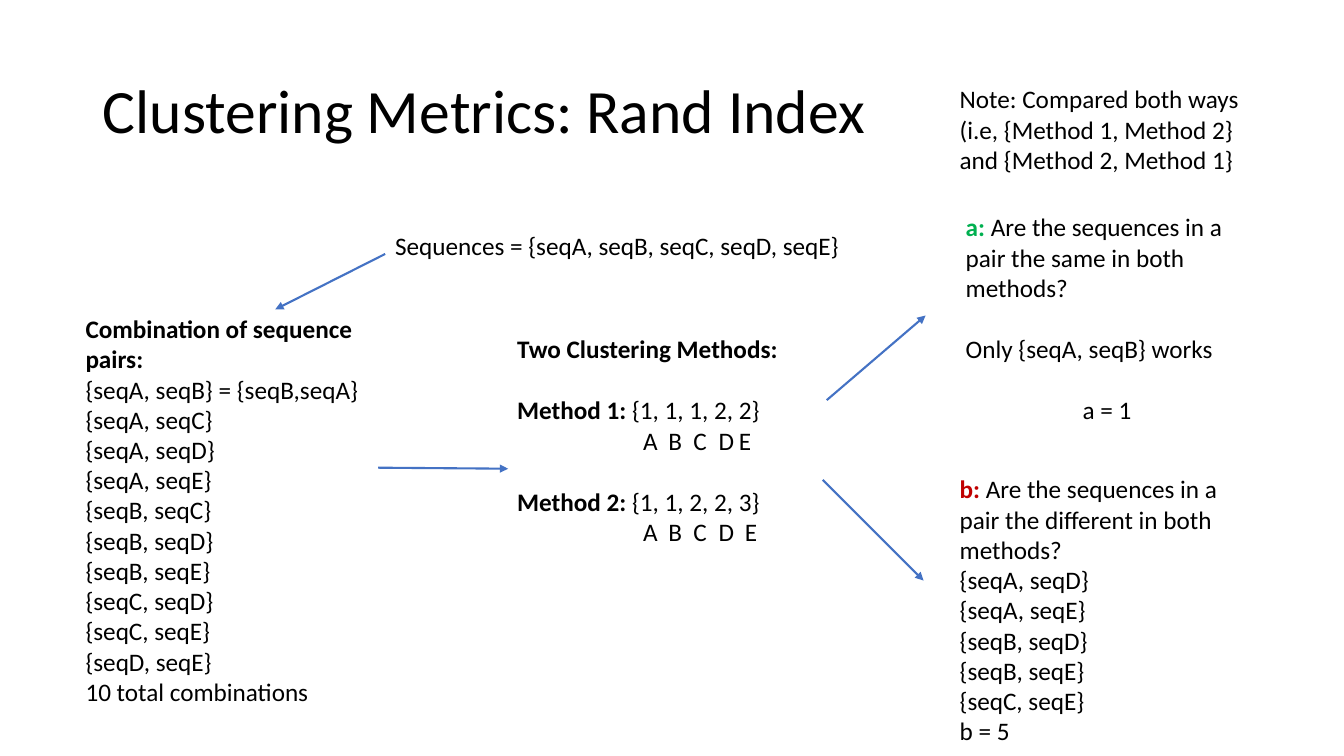
from dataclasses import dataclass

from lxml import etree
from pptx import Presentation
from pptx.dml.color import RGBColor
from pptx.enum.shapes import MSO_CONNECTOR
from pptx.enum.text import MSO_ANCHOR, MSO_AUTO_SIZE, PP_ALIGN
from pptx.oxml.ns import qn
from pptx.util import Inches, Pt

STRAIGHT = MSO_CONNECTOR.STRAIGHT
LEFT, CENTER = PP_ALIGN.LEFT, PP_ALIGN.CENTER


@dataclass(frozen=True)
class Theme:
    font: str = "Calibri"
    text: str = "000000"
    same: str = "00B050"
    different: str = "C00000"
    arrow: str = "4472C4"
    title_size: int = 44
    body_size: int = 18
    line_gap: int = 22
    arrow_width: float = 1.5


THEME = Theme()


# Content: a line is a list of (text, bold, colour) spans
def plain(text):
    return [(text, False, THEME.text)]


def strong(text, color=THEME.text):
    return [(text, True, color)]


TITLE = "Clustering Metrics: Rand Index"
TITLE_AREA = (0.92, 0.4, 11.5, 1.45)

PAIRS = ["{seqA, seqB} = {seqB,seqA}", "{seqA, seqC}", "{seqA, seqD}", "{seqA, seqE}",
         "{seqB, seqC}", "{seqB, seqD}", "{seqB, seqE}", "{seqC, seqD}",
         "{seqC, seqE}", "{seqD, seqE}"]
DIFFERENT_PAIRS = ["{seqA, seqD}", "{seqA, seqE}", "{seqB, seqD}",
                   "{seqB, seqE}", "{seqC, seqE}"]
NOTE = ["Note: Compared both ways", "(i.e, {Method 1, Method 2}", "and {Method 2, Method 1}"]
LABELS = "\tA\tB\tC\tD\tE"

# Each block: area, lines, indexes of lines set apart by one line,
# indexes of centred lines, tab stops by line index
BLOCKS = [
    ((3.82, 2.24, 5.22, 0.4),
     [plain("Sequences = {seqA, seqB, seqC, seqD, seqE}")], (), (), {}),
    ((0.75, 3.06, 3, 4.04),
     [strong("Combination of sequence pairs:"), *map(plain, PAIRS),
      plain("10 total combinations")], (), (), {}),
    ((5.03, 3.26, 3.76, 2.22),
     [strong("Two Clustering Methods:"),
      strong("Method 1: ") + plain("{1, 1, 1, 2, 2}"), plain(LABELS),
      strong("Method 2: ") + plain("{1, 1, 2, 2, 3}"), plain(LABELS)],
     (1, 3), (), {2: (1.25, 1.5, 1.75, 2, 2.2), 4: (1.25, 1.5, 1.75, 2, 2.26)}),
    ((9.48, 2.05, 3, 2.22),
     [strong("a:", THEME.same)
      + plain(" Are the sequences in a pair the same in both methods?"),
      plain("Only {seqA, seqB} works"), plain("a = 1")], (1, 2), (2,), {}),
    ((9.42, 4.65, 3, 2.83),
     [strong("b:", THEME.different)
      + plain(" Are the sequences in a pair the different in both methods?"),
      *map(plain, DIFFERENT_PAIRS), plain("b = 5")], (), (), {}),
    ((9.42, 0.78, 3, 1.01), [plain(line) for line in NOTE], (), (), {}),
]

# Arrows: start and end points
ARROWS = [
    ((3.82, 2.52), (2.73, 3.07)),
    ((3.75, 4.64), (5.04, 4.65)),
    ((8.2, 3.97), (9.18, 3.13)),
    ((8.16, 4.76), (9.16, 5.76)),
]


def add_span(para, text, bold, color, size):
    span = para.add_run()
    span.text = text
    span.font.name = THEME.font
    span.font.size = Pt(size)
    span.font.bold = bold
    span.font.color.rgb = RGBColor.from_string(color)


def add_tab_stops(para, stops):
    tab_list = etree.SubElement(para._p.get_or_add_pPr(), qn("a:tabLst"))
    for stop in stops:
        etree.SubElement(tab_list, qn("a:tab"), pos=str(Inches(stop)), algn="l")


def add_block(page, area, lines, spaced, centred, tabs):
    box = page.shapes.add_textbox(*map(Inches, area))
    frame = box.text_frame
    frame.word_wrap = True
    frame.auto_size = MSO_AUTO_SIZE.SHAPE_TO_FIT_TEXT
    for index, spans in enumerate(lines):
        para = frame.add_paragraph() if index else frame.paragraphs[0]
        para.alignment = CENTER if index in centred else LEFT
        if index in spaced:
            para.space_before = Pt(THEME.line_gap)
        if index in tabs:
            add_tab_stops(para, tabs[index])
        for text, bold, color in spans:
            add_span(para, text, bold, color, THEME.body_size)


def add_arrow(page, start, end):
    arrow = page.shapes.add_connector(STRAIGHT, *map(Inches, start + end))
    arrow.line.color.rgb = RGBColor.from_string(THEME.arrow)
    arrow.line.width = Pt(THEME.arrow_width)
    properties = arrow._element.spPr
    etree.SubElement(properties.find(qn("a:ln")), qn("a:tailEnd"), type="triangle")
    etree.SubElement(properties, qn("a:effectLst"))


def add_title(page):
    title = page.shapes.title
    title.left, title.top, title.width, title.height = map(Inches, TITLE_AREA)
    title.text_frame.vertical_anchor = MSO_ANCHOR.MIDDLE
    title.text_frame.auto_size = MSO_AUTO_SIZE.NONE
    para = title.text_frame.paragraphs[0]
    para.alignment = LEFT
    para.line_spacing = 0.9
    add_span(para, TITLE, False, THEME.text, THEME.title_size)


def main():
    deck = Presentation()
    deck.slide_width, deck.slide_height = Inches(13.33), Inches(7.5)
    page = deck.slides.add_slide(deck.slide_layouts.get_by_name("Title Only"))
    add_title(page)
    for block in BLOCKS:
        add_block(page, *block)
    for start, end in ARROWS:
        add_arrow(page, start, end)
    deck.save("out.pptx")


if __name__ == "__main__":
    main()
